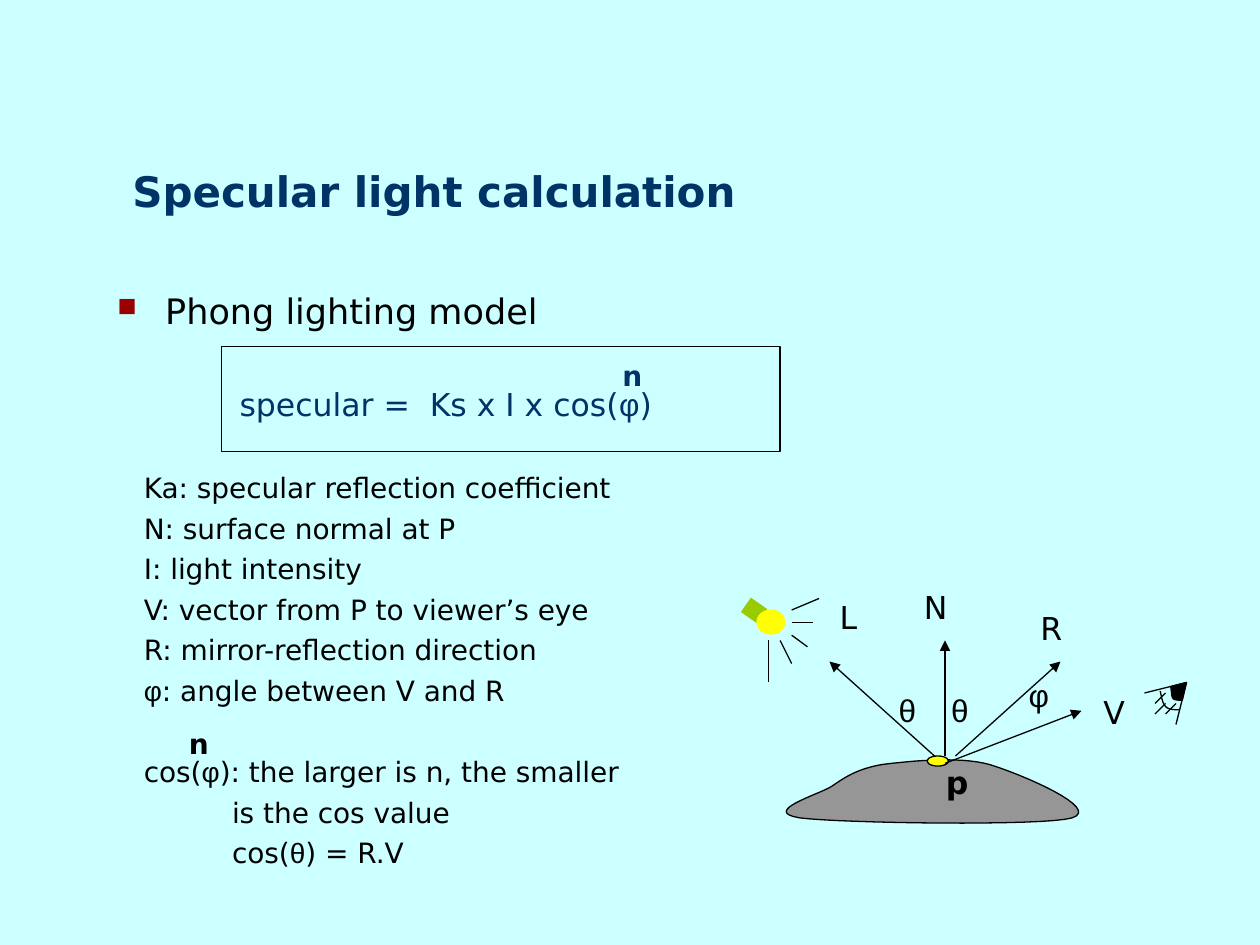
from itertools import groupby
from lxml.etree import SubElement
from pptx import Presentation
from pptx.dml.color import RGBColor
from pptx.enum.shapes import MSO_CONNECTOR, MSO_SHAPE
from pptx.enum.text import MSO_ANCHOR, PP_ALIGN
from pptx.oxml.ns import qn
from pptx.util import Inches, Pt

# The grid has 12 columns and 12 rows to the inch
CELL = Inches(1) / 12
COLS, ROWS = 120, 90
HUES = {"back": "CCFFFF", "navy": "003366", "ink": "000000", "mark": "9A0000",
        "hill": "969696", "lamp": "99CC00", "glow": "FFFF00"}
GREEK = "θφ"


def hue(name):
    return RGBColor.from_string(HUES[name])


def cells(*nums):
    return [round(n * CELL) for n in nums]


def write(para, text, size, color="ink", bold=False):
    """Fill a paragraph, giving Greek letters their own font."""
    para.line_spacing = Pt(size * 1.2)
    for greek, part in groupby(text, lambda c: c in GREEK):
        run = para.add_run()
        run.text = "".join(part)
        font = run.font
        font.name = "Arial" if greek else "DejaVu Sans"
        font.size, font.bold = Pt(size), bold
        font.color.rgb = hue(color)


def label(shapes, x, y, text, size=18, color="ink", bold=False):
    box = shapes.add_textbox(*cells(x, y, 4.3, 4.8))
    box.text_frame.word_wrap = False
    write(box.text_frame.paragraphs[0], text, size, color, bold)


def paint(shape, fill=None, line="ink"):
    shape.shadow.inherit = False
    if fill:
        shape.fill.solid()
        shape.fill.fore_color.rgb = hue(fill)
    else:
        shape.fill.background()
    shape.line.color.rgb = hue(line)
    shape.line.width = Pt(0.75)


def stroke(shapes, ends, color="ink", width=0.75, arrow=False):
    link = shapes.add_connector(MSO_CONNECTOR.STRAIGHT, *cells(*ends))
    link.line.color.rgb = hue(color)
    link.line.width = Pt(width)
    if arrow:
        SubElement(link.line._get_or_add_ln(), qn("a:tailEnd"), type="triangle")
    SubElement(link._element.spPr, qn("a:effectLst"))


def curve(start, arcs, steps=16):
    """Points along a chain of cubic curves."""
    dots = [start]
    for arc in arcs:
        knots = [dots[-1], *arc]
        for n in range(1, steps + 1):
            t = n / steps
            u = 1 - t
            mix = (u ** 3, 3 * u * u * t, 3 * u * t * t, t ** 3)
            dots.append(tuple(sum(m * k[i] for m, k in zip(mix, knots))
                              for i in (0, 1)))
    return dots


def outline(shapes, dots, fill=None, close=True):
    dots = [cells(*dot) for dot in dots]
    build = shapes.build_freeform(*dots[0])
    build.add_line_segments(dots[1:], close=close)
    paint(build.convert_to_shape(), fill)


def heading(slide, x, y, w, h):
    title = slide.shapes.title
    title.left, title.top, title.width, title.height = cells(x, y, w, h)
    frame = title.text_frame
    frame.vertical_anchor = MSO_ANCHOR.BOTTOM
    para = frame.paragraphs[0]
    para.alignment = PP_ALIGN.LEFT
    write(para, "Specular light calculation", 24, "navy", True)


def notes(slide, x, y, w, h):
    """Bullet, formula and list of terms, with raised exponents."""
    # text, size, colour, space before, left margin in inches
    lines = [
        ("Phong lighting model", 20, "ink", 0, 0.38),
        ("specular =  Ks x I x cos(φ)", 18, "navy", 30.6, 0.97),
        ("Ka: specular reflection coefficient", 16, "ink", 27.2, 0.21),
        ("N: surface normal at P", 16, "ink", 4, 0.21),
        ("I: light intensity", 16, "ink", 4, 0.21),
        ("V: vector from P to viewer’s eye", 16, "ink", 4, 0.21),
        ("R: mirror-reflection direction", 16, "ink", 4, 0.21),
        ("φ: angle between V and R", 16, "ink", 4, 0.21),
        ("cos(φ): the larger is n, the smaller", 16, "ink", 27.2, 0.21),
        ("is the cos value", 16, "ink", 4, 0.91),
        ("cos(θ) = R.V", 16, "ink", 4, 0.91),
    ]
    frame = slide.shapes.add_textbox(*cells(x, y, w, h)).text_frame
    frame.word_wrap = True
    for i, (text, size, color, gap, left) in enumerate(lines):
        para = frame.add_paragraph() if i else frame.paragraphs[0]
        props = para._p.get_or_add_pPr()
        props.set("marL", str(Inches(left)))
        props.set("indent", str(0 if i else -Inches(left)))
        para.space_before = Pt(gap)
        write(para, text, size, color)
        if not i:
            tint = SubElement(props, qn("a:buClr"))
            SubElement(tint, qn("a:srgbClr"), val=HUES["mark"])
            SubElement(props, qn("a:buSzPct"), val="75000")
            SubElement(props, qn("a:buChar"), char="■")

    # Formula frame and exponents
    rule = slide.shapes.add_shape(MSO_SHAPE.RECTANGLE,
                                  *cells(x + 11.1, y + 6, 53.2, 10))
    paint(rule)
    label(slide.shapes, x + 48.1, y + 6.6, "n", 16, "navy", True)
    label(slide.shapes, x + 6.8, y + 41.6, "n", 16, bold=True)


def scene(slide, x, y):
    """Light, surface and eye, in cells from the scene's corner."""
    group = slide.shapes.add_group_shape()
    parts = group.shapes

    def at(*nums):
        return [n + (y if i % 2 else x) for i, n in enumerate(nums)]

    def bend(start, *arcs):
        return curve(tuple(at(*start)),
                     [[tuple(at(*k)) for k in arc] for arc in arcs])

    def oval(left, top, w, h, line):
        paint(parts.add_shape(MSO_SHAPE.OVAL, *cells(*at(left, top), w, h)),
              "glow", line)

    # Surface
    outline(parts, bend(
        (6.2, 22.9),
        [(2.4, 22.3), (7.9, 20.7), (9.2, 19.9)],
        [(10.5, 19), (11.7, 18.2), (14.1, 17.8)],
        [(16.6, 17.5), (21.2, 17), (24.2, 17.8)],
        [(27.2, 18.7), (35, 22), (32.1, 22.9)],
        [(29.4, 23.7), (10, 23.4), (6.2, 22.9)]), "hill")

    # Lamp and its rays
    stroke(parts, at(2.6, 3.7, 1.04, 2.6), "lamp", 10)
    oval(2.1, 3.1, 2.64, 2.28, "glow")
    for ray in [(5.4, 3.1, 8, 2), (5.4, 4.3, 7.4, 4.3), (5.4, 5.5, 6.9, 6.6),
                (4.3, 6, 5.4, 8.2), (3.2, 6, 3.2, 10)]:
        stroke(parts, at(*ray))

    # Point p and the vectors L, N, R, V
    oval(18.3, 17, 2.04, 0.96, "ink")
    for ends in [(19, 17, 9, 8), (20, 17, 20, 6), (21, 17, 31, 8),
                 (20, 17.7, 33, 12.7)]:
        stroke(parts, at(*ends), arrow=True)

    # Eye
    for ends in [(39, 11, 43, 10), (43, 10, 42, 14), (41, 11, 40, 12),
                 (41, 12, 40, 13), (42, 12, 41, 13)]:
        stroke(parts, at(*ends))
    outline(parts, bend((40.5, 10.8), [(40.8, 12.3), (40.9, 12.6), (42.3, 12.6)]),
            close=False)
    pupil = bend((41.5, 10.4), [(41.7, 11.5), (41.4, 11.7), (42.6, 11.7)])
    outline(parts, pupil + [tuple(at(43, 10))], "ink")

    # Letters
    for text, left, top in [("θ", 14.4, 10.2), ("θ", 19.4, 10.2),
                            ("φ", 26.8, 8.8), ("V", 33.9, 10.4),
                            ("R", 27.9, 2.4), ("N", 16.8, 0.4), ("L", 8.8, 1.4)]:
        label(parts, *at(left, top), text)
    label(parts, *at(18.9, 17.1), "p", bold=True)


def main():
    deck = Presentation()
    deck.slide_width, deck.slide_height = cells(COLS, ROWS)
    slide = deck.slides.add_slide(deck.slide_layouts[5])
    slide.background.fill.solid()
    slide.background.fill.fore_color.rgb = hue("back")
    heading(slide, 11.4, 15.2, 107.2, 6)
    notes(slide, 10, 27, 102, 60)
    scene(slide, 70, 55)
    deck.save("out.pptx")


if __name__ == "__main__":
    main()
